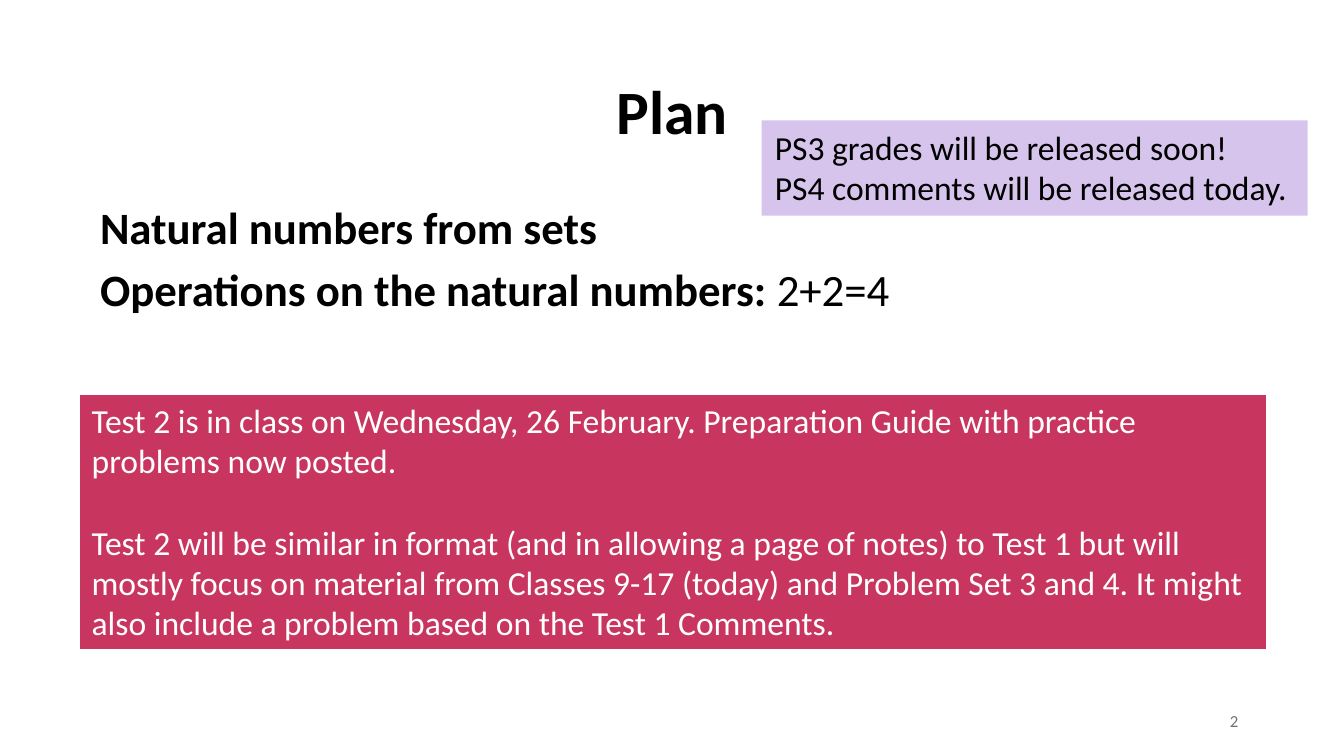
from dataclasses import dataclass

from pptx import Presentation
from pptx.dml.color import RGBColor
from pptx.enum.shapes import MSO_SHAPE as Shape
from pptx.enum.text import MSO_ANCHOR as Anchor, PP_ALIGN as Align
from pptx.util import Pt

EMU_PER_PX = 9525


@dataclass(frozen=True)
class Theme:
    font: str = "Calibri"
    black: str = "000000"
    white: str = "FFFFFF"
    gray: str = "767171"
    crimson: str = "C8365F"
    lavender: str = "D6C4EC"
    title: float = 33
    body: float = 24
    note: float = 18
    number: float = 9


THEME = Theme()


def px(length):
    return length * EMU_PER_PX


def add_box(slide, box, fill=None, line=None):
    """Add a plain text box, or a rectangle when a fill is given."""
    bounds = [px(length) for length in box]
    if fill is None:
        return slide.shapes.add_textbox(*bounds)
    shape = slide.shapes.add_shape(Shape.RECTANGLE, *bounds)
    shape.shadow.inherit = False
    shape.fill.solid()
    shape.fill.fore_color.rgb = RGBColor.from_string(fill)
    if line is None:
        shape.line.fill.background()
    else:
        shape.line.color.rgb = RGBColor.from_string(line)
        shape.line.width = Pt(1.5)
    return shape


def write_text(shape, paragraphs, size, color=THEME.black, bold=False,
               align=Align.LEFT, anchor=Anchor.TOP, line_spacing=1.0, gap=0):
    """Write paragraphs, each a list of runs; every run after the first is regular."""
    frame = shape.text_frame
    frame.word_wrap = True
    frame.vertical_anchor = anchor
    for index, runs in enumerate(paragraphs):
        paragraph = frame.add_paragraph() if index else frame.paragraphs[0]
        paragraph.alignment = align
        paragraph.line_spacing = line_spacing
        if index and gap:
            paragraph.space_before = Pt(gap)
        for position, text in enumerate(runs):
            run = paragraph.add_run()
            run.text = text
            run.font.name = THEME.font
            run.font.size = Pt(size)
            run.font.bold = bold and position == 0
            run.font.color.rgb = RGBColor.from_string(color)


def add_title(slide, box):
    write_text(add_box(slide, box), [["Plan"]], THEME.title, bold=True,
               align=Align.CENTER, anchor=Anchor.MIDDLE, line_spacing=0.9)


def add_slide_number(slide, box):
    write_text(add_box(slide, box), [["2"]], THEME.number, color=THEME.gray,
               align=Align.RIGHT, anchor=Anchor.MIDDLE)


def add_topics(slide, box):
    topics = [
        ["Natural numbers from sets"],
        ["Operations on the natural numbers: ", "2+2=4"],
    ]
    write_text(add_box(slide, box), topics, THEME.body, bold=True,
               line_spacing=0.9, gap=7.5)


def add_test_notice(slide, box):
    notice = [
        ["Test 2 is in class on Wednesday, 26 February. Preparation Guide "
         "with practice problems now posted."],
        ["Test 2 will be similar in format (and in allowing a page of notes) "
         "to Test 1 but will mostly focus on material from Classes 9-17 "
         "(today) and Problem Set 3 and 4. It might also include a problem "
         "based on the Test 1 Comments."],
    ]
    shape = add_box(slide, box, fill=THEME.crimson, line=THEME.white)
    write_text(shape, notice, THEME.note, color=THEME.white, gap=22)


def add_grades_notice(slide, box):
    notice = [
        ["PS3 grades will be released soon!"],
        ["PS4 comments will be released today."],
    ]
    write_text(add_box(slide, box, fill=THEME.lavender), notice, THEME.note)


def main():
    presentation = Presentation()
    presentation.slide_width = px(960)
    presentation.slide_height = px(540)
    slide = presentation.slides.add_slide(presentation.slide_layouts[6])
    add_title(slide, (66, 29, 828, 105))
    add_slide_number(slide, (678, 500, 216, 29))
    add_topics(slide, (62, 142, 835, 341))
    add_test_notice(slide, (56, 281, 849, 184))
    add_grades_notice(slide, (544, 86, 390, 68))
    presentation.save("out.pptx")


if __name__ == "__main__":
    main()
